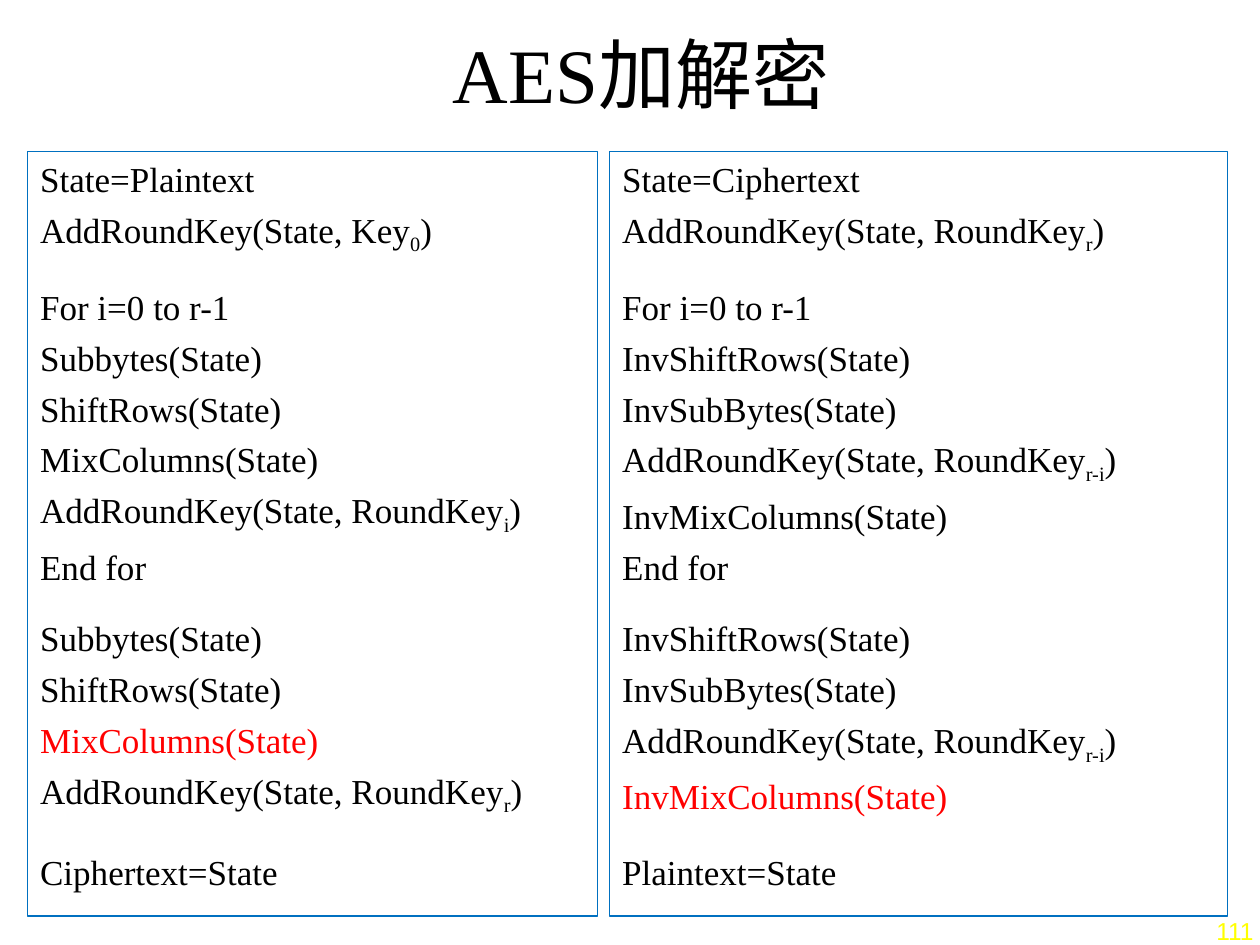
from dataclasses import dataclass

from pptx import Presentation
from pptx.dml.color import RGBColor
from pptx.enum.shapes import MSO_SHAPE
from pptx.enum.text import MSO_ANCHOR, MSO_AUTO_SIZE, PP_ALIGN
from pptx.slide import Slide
from pptx.text.text import TextFrame, _Paragraph
from pptx.util import Inches, Pt

RECTANGLE = MSO_SHAPE.RECTANGLE
TOP, MIDDLE = MSO_ANCHOR.TOP, MSO_ANCHOR.MIDDLE
LEFT, CENTER, RIGHT = PP_ALIGN.LEFT, PP_ALIGN.CENTER, PP_ALIGN.RIGHT
NO_AUTOFIT = MSO_AUTO_SIZE.NONE
TITLE_ONLY = 5


@dataclass(frozen=True)
class Theme:
    ink: RGBColor = RGBColor(0x00, 0x00, 0x00)
    highlight: RGBColor = RGBColor(0xFF, 0x00, 0x00)
    border: RGBColor = RGBColor(0x00, 0x70, 0xC0)
    page_number: RGBColor = RGBColor(0xFF, 0xFF, 0x00)
    serif: str = "Times New Roman"
    sans: str = "Arial"
    title_size: float = 44
    body_size: float = 20
    number_size: float = 14


THEME = Theme()


@dataclass(frozen=True)
class Step:
    text: str
    subscript: str = ""
    highlighted: bool = False
    before: float = 5
    after: float = 0


@dataclass(frozen=True)
class Panel:
    left: float
    width: float
    steps: tuple[Step, ...]


def add_round_key(subscript: str, key: str = "RoundKey", after: float = 0) -> Step:
    return Step(f"AddRoundKey(State, {key}", subscript, after=after)


FOR_LOOP = Step("For i=0 to r-1")
END_LOOP = Step("End for", after=12)
SUB_AND_SHIFT = (Step("Subbytes(State)"), Step("ShiftRows(State)"))
INVERSE_ROUND = (
    Step("InvShiftRows(State)"),
    Step("InvSubBytes(State)"),
    add_round_key("r-i"),
)

ENCRYPTION = Panel(0.22, 4.52, (
    Step("State=Plaintext"),
    add_round_key("0", key="Key", after=12),
    FOR_LOOP,
    *SUB_AND_SHIFT,
    Step("MixColumns(State)"),
    add_round_key("i"),
    END_LOOP,
    *SUB_AND_SHIFT,
    Step("MixColumns(State)", highlighted=True),
    add_round_key("r", after=12),
    Step("Ciphertext=State", before=7),
))

DECRYPTION = Panel(4.84, 4.9, (
    Step("State=Ciphertext"),
    add_round_key("r", after=12),
    FOR_LOOP,
    *INVERSE_ROUND,
    Step("InvMixColumns(State)"),
    END_LOOP,
    *INVERSE_ROUND,
    Step("InvMixColumns(State)", highlighted=True, after=12),
    Step("Plaintext=State", before=7),
))


def add_text(para: _Paragraph, text: str, *, size: float = THEME.body_size,
             font: str = THEME.serif, color: RGBColor = THEME.ink,
             align: PP_ALIGN = LEFT, subscript: bool = False) -> None:
    para.alignment = align
    span = para.add_run()
    span.text = text
    span.font.size = Pt(size)
    span.font.name = font
    span.font.color.rgb = color
    if subscript:
        span.font._element.set("baseline", "-25000")


def prepare_frame(frame: TextFrame, anchor: MSO_ANCHOR, side_margin: float = 0.1) -> None:
    frame.word_wrap = True
    frame.auto_size = NO_AUTOFIT
    frame.vertical_anchor = anchor
    frame.margin_left = frame.margin_right = Inches(side_margin)
    frame.margin_top = frame.margin_bottom = Inches(0.05)


def write_step(para: _Paragraph, step: Step) -> None:
    para.space_before = Pt(step.before)
    para.space_after = Pt(step.after)
    properties = para._p.get_or_add_pPr()
    properties.set("marL", str(Inches(0.5)))
    properties.set("indent", str(Inches(-0.5)))
    color = THEME.highlight if step.highlighted else THEME.ink
    add_text(para, step.text, color=color)
    if step.subscript:
        add_text(para, step.subscript, color=color, subscript=True)
        add_text(para, ")", color=color)


def draw_panel(page: Slide, panel: Panel) -> None:
    box = page.shapes.add_shape(RECTANGLE, Inches(panel.left), Inches(1.2),
                                Inches(panel.width), Inches(6.07))
    box.shadow.inherit = False
    box.fill.background()
    box.line.color.rgb = THEME.border
    box.line.width = Pt(0.75)
    frame = box.text_frame
    prepare_frame(frame, TOP)
    for index, step in enumerate(panel.steps):
        write_step(frame.add_paragraph() if index else frame.paragraphs[0], step)


def draw_title(page: Slide, text: str) -> None:
    title = page.shapes.title
    title.left, title.top = Inches(0.84), Inches(-0.05)
    title.width, title.height = Inches(8.5), Inches(1.25)
    prepare_frame(title.text_frame, MIDDLE)
    add_text(title.text_frame.paragraphs[0], text, size=THEME.title_size, align=CENTER)


def draw_page_number(page: Slide, number: str) -> None:
    box = page.shapes.add_textbox(Inches(9), Inches(7.23), Inches(1), Inches(0.31))
    prepare_frame(box.text_frame, MIDDLE, side_margin=0.05)
    add_text(box.text_frame.paragraphs[0], number, size=THEME.number_size,
             font=THEME.sans, color=THEME.page_number, align=RIGHT)


def main() -> None:
    deck = Presentation()
    deck.slide_width, deck.slide_height = Inches(10), Inches(7.5)
    page = deck.slides.add_slide(deck.slide_layouts[TITLE_ONLY])
    draw_title(page, "AES加解密")
    draw_panel(page, DECRYPTION)
    draw_page_number(page, "111")
    draw_panel(page, ENCRYPTION)
    deck.save("out.pptx")


if __name__ == "__main__":
    main()
